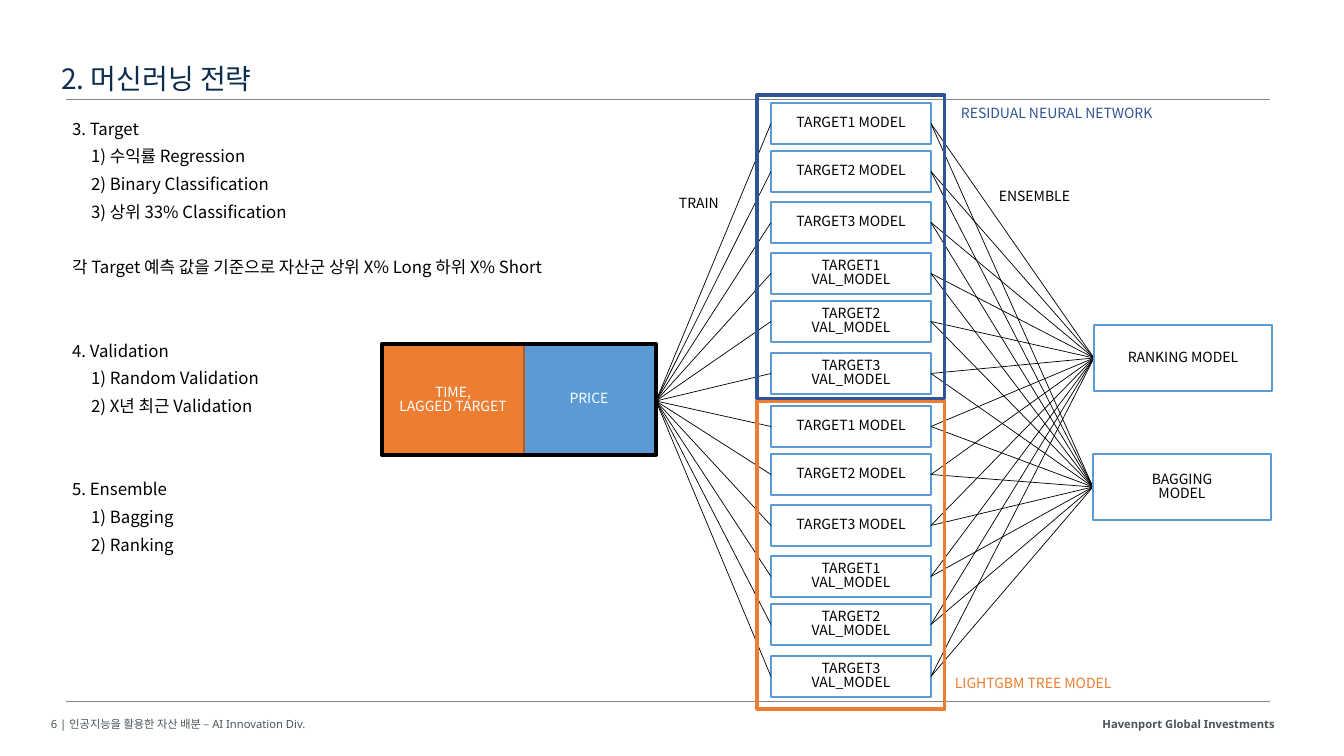
from pptx import Presentation
from pptx import util as u
from pptx.dml.color import RGBColor
from pptx.enum import shapes, text
from pptx.oxml.ns import qn
from lxml import etree

SCALE = 914400 / 100.8
COLORS = {
    "black": "000000", "white": "FFFFFF", "navy": "0D2D4F", "slate": "48535B",
    "rule": "83878A", "blue": "5B9BD5", "blue_edge": "43739E",
    "neural": "2F5597", "tree": "ED7D31", "tree_edge": "AF5C24",
}
KOREAN = "Noto Sans CJK KR"


def px(value):
    return u.Emu(round(value * SCALE))


def rgb(name):
    return RGBColor.from_string(COLORS[name])


def write(paragraph, words, size=10, color="black", font=KOREAN, bold=False,
          align=text.PP_ALIGN.LEFT, spacing=0.85, before=0):
    paragraph.alignment = align
    paragraph.line_spacing = spacing
    paragraph.space_before = u.Pt(before)
    run = paragraph.add_run()
    run.text = words
    run.font.size = u.Pt(size)
    run.font.name = font
    run.font.bold = bold
    run.font.color.rgb = rgb(color)
    east_asian = etree.SubElement(run._r.get_or_add_rPr(), qn("a:ea"))
    east_asian.set("typeface", KOREAN)


class Deck:
    def __init__(self, width, height):
        self.presentation = Presentation()
        self.presentation.slide_width = px(width)
        self.presentation.slide_height = px(height)
        layout = self.presentation.slide_layouts[1]
        self.slide = self.presentation.slides.add_slide(layout)

    def place(self, holder, x, y, w, h, anchor):
        holder.left, holder.top, holder.width, holder.height = map(px, (x, y, w, h))
        frame = holder.text_frame
        frame.word_wrap = True
        frame.auto_size = text.MSO_AUTO_SIZE.NONE
        frame.vertical_anchor = anchor
        return frame

    def title(self, words, x, y, w, h):
        frame = self.place(self.slide.shapes.title, x, y, w, h, text.MSO_ANCHOR.MIDDLE)
        write(frame.paragraphs[0], words, size=20, color="navy", spacing=0.9)

    def outline(self, items, x, y, w, h):
        frame = self.place(self.slide.placeholders[1], x, y, w, h, text.MSO_ANCHOR.TOP)
        for index, (words, level, gap) in enumerate(items):
            paragraph = frame.paragraphs[0] if index == 0 else frame.add_paragraph()
            write(paragraph, words, size=12, spacing=u.Pt(13.2),
                  before=6.6 + 19.8 * gap if index else 0)
            properties = paragraph._p.get_or_add_pPr()
            properties.set("marL", str(px(19 * level)))
            properties.set("indent", "0")
            etree.SubElement(properties, qn("a:buNone"))

    def label(self, words, x, y, w, h, wrap=False, **style):
        frame = self.slide.shapes.add_textbox(*map(px, (x, y, w, h))).text_frame
        frame.word_wrap = wrap
        write(frame.paragraphs[0], words, **style)

    def box(self, lines, x, y, w, h, fill="white", edge="blue", weight=1, color="black"):
        shape = self.slide.shapes.add_shape(
            shapes.MSO_SHAPE.RECTANGLE, *map(px, (x, y, w, h)))
        shape.shadow.inherit = False
        if fill:
            shape.fill.solid()
            shape.fill.fore_color.rgb = rgb(fill)
        else:
            shape.fill.background()
        shape.line.color.rgb = rgb(edge)
        shape.line.width = u.Pt(weight)
        frame = shape.text_frame
        frame.word_wrap = True
        frame.vertical_anchor = text.MSO_ANCHOR.MIDDLE
        for index, words in enumerate(lines):
            paragraph = frame.add_paragraph() if index else frame.paragraphs[0]
            write(paragraph, words, color=color, align=text.PP_ALIGN.CENTER)

    def line(self, start, end, color="black"):
        connector = self.slide.shapes.add_connector(
            shapes.MSO_CONNECTOR.STRAIGHT, *map(px, (*start, *end)))
        connector.line.color.rgb = rgb(color)
        connector.line.width = u.Pt(0.5)
        etree.SubElement(connector._element.spPr, qn("a:effectLst"))


deck = Deck(1344, 756)
for rule_y in (99, 701):
    deck.line((66, rule_y), (1270, rule_y), color="rule")
deck.label("6 | 인공지능을 활용한 자산 배분 – AI Innovation Div.", 41, 712, 501, 30,
           wrap=True, size=8, color="slate", font="Noto Sans", spacing=1)
deck.label("Havenport Global Investments", 883, 712, 402, 30, wrap=True, size=8,
           color="slate", font="Noto Sans", bold=True, align=text.PP_ALIGN.RIGHT,
           spacing=1)
deck.title("2. 머신러닝 전략", 51, 58, 855, 45)
deck.outline([
    ("3. Target", 0, 0),
    ("1) 수익률 Regression", 1, 0),
    ("2) Binary Classification", 1, 0),
    ("3) 상위 33% Classification", 1, 0),
    ("각 Target 예측 값을 기준으로 자산군 상위 X% Long 하위 X% Short", 0, 1),
    ("4. Validation", 0, 2),
    ("1) Random Validation", 1, 0),
    ("2) X년 최근 Validation", 1, 0),
    ("5. Ensemble", 0, 2),
    ("1) Bagging", 1, 0),
    ("2) Ranking", 1, 0),
], 62, 115, 1210, 581)

inputs_exit = (656, 401)
ensemble_entries = ((1094, 358), (1093, 487))
model_x, model_w, model_h = 771, 160, 41
model_names = [f"TARGET{target} {kind}" for kind in ("MODEL", "VAL_MODEL")
               for target in (1, 2, 3)]
model_offsets = (0, 48, 99, 150, 198, 250)

for group_top in (103, 406):
    for name, offset in zip(model_names, model_offsets):
        model_y = group_top + offset
        middle = model_y + model_h / 2
        deck.box([name], model_x, model_y, model_w, model_h)
        deck.line(inputs_exit, (model_x, middle))
        for entry in ensemble_entries:
            deck.line((model_x + model_w, middle), entry)

deck.box(["RANKING MODEL"], 1094, 325, 178, 66)
deck.box(["BAGGING", "MODEL"], 1093, 454, 178, 66)
deck.box([], 757, 401, 188, 308, fill=None, edge="tree", weight=2.25)
deck.box([], 757, 95, 188, 304, fill=None, edge="neural", weight=2.25)
deck.label("TRAIN", 669, 192, 61, 27)
deck.label("ENSEMBLE", 989, 185, 95, 27)
deck.label("RESIDUAL NEURAL NETWORK", 951, 102, 221, 27, color="neural")
deck.label("LIGHTGBM TREE MODEL", 945, 672, 184, 27, color="tree")
deck.box(["PRICE"], 523, 344, 132, 111, fill="blue", edge="blue_edge", color="white")
deck.box(["TIME,", "LAGGED TARGET"], 382, 345, 142, 110,
         fill="tree", edge="tree_edge", color="white")
deck.box([], 382, 344, 274, 111, fill=None, edge="black", weight=3)
deck.presentation.save("out.pptx")
